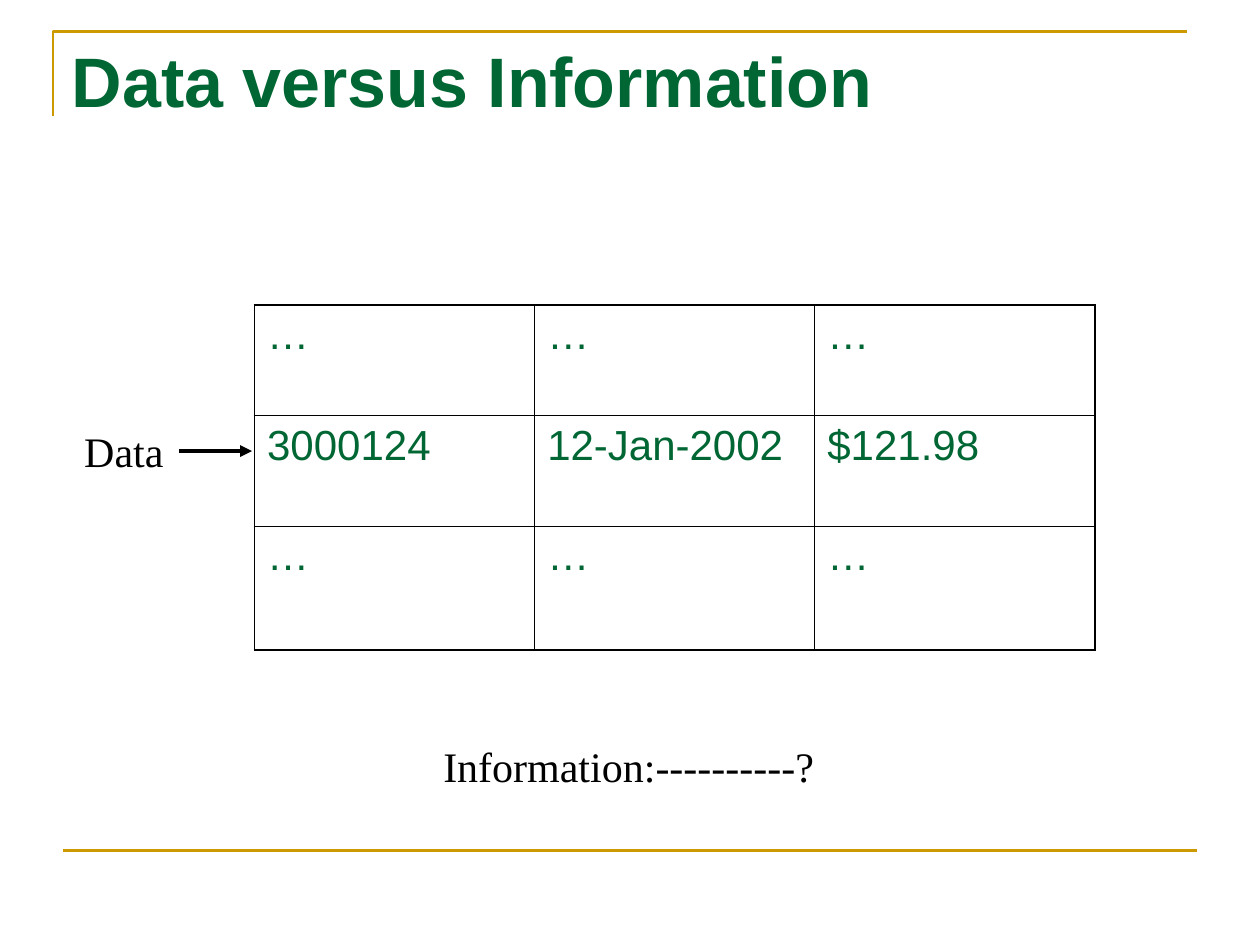
"""Build the slide that sets data against information."""
from lxml.etree import SubElement
from pptx import Presentation
from pptx.dml.color import RGBColor
from pptx.enum.shapes import MSO_CONNECTOR
from pptx.enum.text import MSO_ANCHOR, PP_ALIGN
from pptx.oxml.ns import qn
from pptx.util import Inches, Pt

INK = {"gold": "CC9900", "green": "006633", "black": "000000"}
SANS = {"name": "Arial", "size": Pt(24), "bold": False}
HEAD = {"name": "Arial", "size": Pt(40), "bold": True}
SERIF = {"name": "Times New Roman", "size": Pt(24), "bold": False}


def write(frame, text, form, ink):
    frame.text = text
    frame.vertical_anchor = MSO_ANCHOR.TOP
    par = frame.paragraphs[0]
    par.alignment = PP_ALIGN.LEFT
    font = par.runs[0].font
    for key, value in form.items():
        setattr(font, key, value)
    font.color.rgb = RGBColor.from_string(INK[ink])
    return par


def draw(start, end, ink, width):
    ends = [Inches(n) for n in (*start, *end)]
    line = slide.shapes.add_connector(MSO_CONNECTOR.STRAIGHT, *ends)
    line.line.color.rgb = RGBColor.from_string(INK[ink])
    line.line.width = Pt(width)
    SubElement(line._element.spPr, qn("a:effectLst"))
    return line


deck = Presentation()
deck.slide_width, deck.slide_height = Inches(10), Inches(7.5)
slide = deck.slides.add_slide(deck.slide_layouts[5])

pen = slide.shapes.build_freeform(Inches(0.42), Inches(0.92))
pen.add_line_segments(
    [(Inches(0.42), Inches(0.25)), (Inches(9.42), Inches(0.25))], close=False)
frame = pen.convert_to_shape()
frame.shadow.inherit = False
frame.fill.background()
frame.line.color.rgb = RGBColor.from_string(INK["gold"])
frame.line.width = Pt(1.5)
draw((0.5, 6.75), (9.5, 6.75), "gold", 1.5)

title = slide.shapes.title
title.left, title.top = Inches(0.47), Inches(0.25)
title.width, title.height = Inches(9.05), Inches(1.33)
write(title.text_frame, "Data versus Information", HEAD, "green")

rows = [["…"] * 3, ["3000124", "12-Jan-2002", "$121.98"], ["…"] * 3]
tall = [0.88, 0.88, 0.98]
table = slide.shapes.add_table(
    3, 3, Inches(2.02), Inches(2.42), Inches(6.67), Inches(2.74)).table
table.first_row = table.horz_banding = False
for r, row in enumerate(rows):
    table.rows[r].height = Inches(tall[r])
    for c, text in enumerate(row):
        cell = table.cell(r, c)
        par = write(cell.text_frame, text, SANS, "green")
        par.space_before = Pt(6)
        edges = {"L": c == 0, "R": c == 2, "T": r == 0, "B": r == 2}
        props = cell._tc.get_or_add_tcPr()
        for side, outer in edges.items():
            width = Pt(1.08 if outer else 0.45)
            edge = SubElement(props, qn("a:ln" + side), w=str(width))
            fill = SubElement(edge, qn("a:solidFill"))
            SubElement(fill, qn("a:srgbClr"), val=INK["black"])
        cell.fill.background()

labels = [("Data", 0.57, 3.33, 0.83, False),
          ("Information:----------?", 3.42, 5.83, 3.67, True)]
for text, left, top, width, wrap in labels:
    box = slide.shapes.add_textbox(
        Inches(left), Inches(top), Inches(width), Inches(0.5))
    box.text_frame.word_wrap = wrap
    write(box.text_frame, text, SERIF, "black")

arrow = draw((1.42, 3.58), (2, 3.58), "black", 2.25)
SubElement(arrow.line._get_or_add_ln(), qn("a:tailEnd"), type="triangle")

deck.save("out.pptx")
